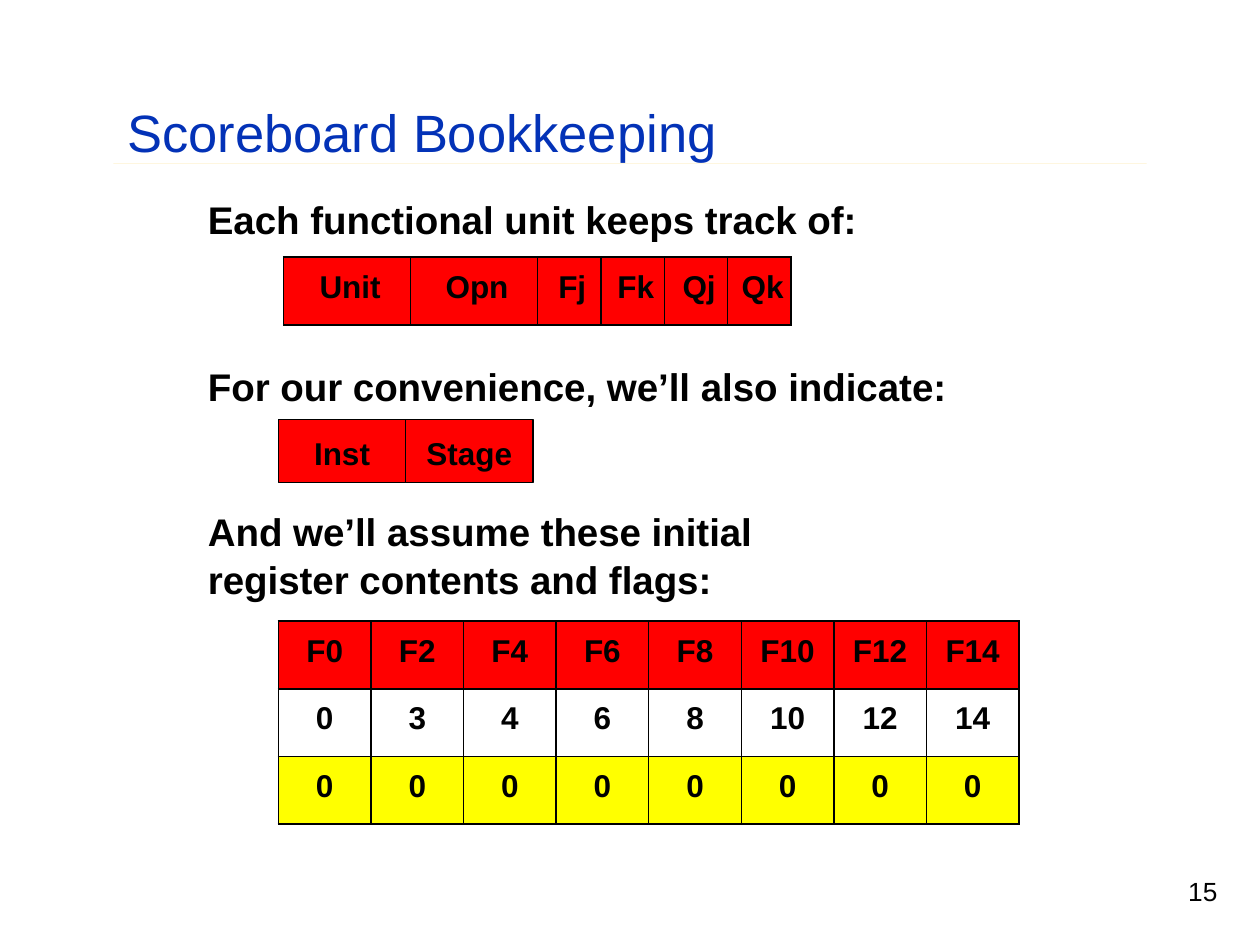
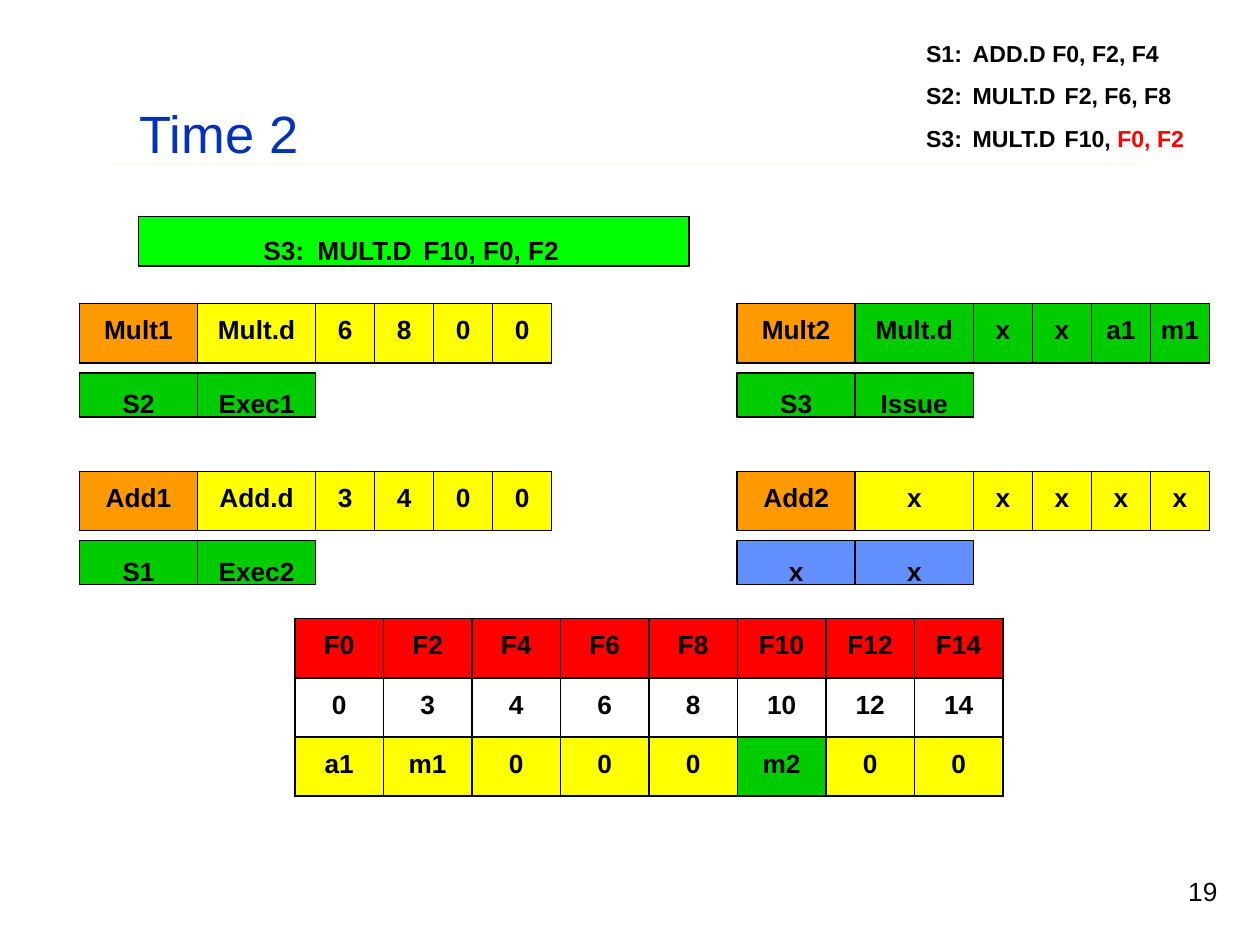
from dataclasses import dataclass

from lxml import etree
from pptx import Presentation
from pptx.dml.color import RGBColor
from pptx.enum.shapes import MSO_SHAPE
from pptx.enum.text import MSO_ANCHOR, MSO_AUTO_SIZE, PP_ALIGN
from pptx.oxml.ns import qn
from pptx.util import Inches, Pt

RECTANGLE = MSO_SHAPE.RECTANGLE
TOP = MSO_ANCHOR.TOP
NO_AUTOSIZE = MSO_AUTO_SIZE.NONE
LEFT, CENTER = PP_ALIGN.LEFT, PP_ALIGN.CENTER

SLIDE_WIDTH, SLIDE_HEIGHT = Inches(10), Inches(7.5)
COLUMN = SLIDE_WIDTH // 100  # grid of 100 columns by 75 rows
ROW = SLIDE_HEIGHT // 75
TITLE_ONLY = 5
UNIT_COLUMNS = (2, 2, 1, 1, 1, 1)
REGISTERS = ["F0", "F2", "F4", "F6", "F8", "F10", "F12", "F14"]
VALUES = ["0", "3", "4", "6", "8", "10", "12", "14"]


@dataclass(frozen=True)
class Theme:
    font: str = "Arial"
    title: str = "0332B7"
    ink: str = "000000"
    rule: str = "FBBA03"
    red: str = "FF0000"
    yellow: str = "FFFF00"
    orange: str = "FF9900"
    green: str = "00CC00"
    lime: str = "00FF00"
    blue: str = "618FFD"
    title_size: float = 30
    body_size: float = 22
    large_cell: float = 18
    small_cell: float = 15
    code_size: float = 13.2


THEME = Theme()


@dataclass(frozen=True)
class Box:
    """A region in grid columns and rows."""
    left: float
    top: float
    width: float
    height: float

    def inner(self, left, top, width, height):
        return Box(self.left + left, self.top + top, width, height)

    def emu(self):
        return (int(self.left * COLUMN), int(self.top * ROW),
                int(self.width * COLUMN), int(self.height * ROW))


# Text and fills
def write(paragraph, runs, size, bold=True, color=THEME.ink, align=LEFT, tabs=()):
    """Fill a paragraph from a string or from (text, colour) pairs."""
    if tabs:
        tab_list = etree.SubElement(paragraph._p.get_or_add_pPr(), qn("a:tabLst"))
        for position in tabs:
            etree.SubElement(tab_list, qn("a:tab"), pos=str(int(position * COLUMN)), algn="l")
    paragraph.alignment = align
    font = paragraph.font
    font.name, font.size, font.bold = THEME.font, Pt(size), bold
    font.color.rgb = RGBColor.from_string(color)
    for text, run_color in [(runs, None)] if isinstance(runs, str) else runs:
        run = paragraph.add_run()
        run.text = text
        if run_color:
            run.font.color.rgb = RGBColor.from_string(run_color)


def prepare_frame(frame, left=0, top=0):
    frame.word_wrap = True
    frame.auto_size = NO_AUTOSIZE
    frame.vertical_anchor = TOP
    frame.margin_left, frame.margin_top = int(left * COLUMN), int(top * ROW)
    frame.margin_right = frame.margin_bottom = 0
    return frame


def add_text(slide, box, runs, size, bold=True, inset=0, line_spacing=1.0):
    frame = prepare_frame(slide.shapes.add_textbox(*box.emu()).text_frame, inset)
    paragraph = frame.paragraphs[0]
    write(paragraph, runs, size, bold)
    paragraph.line_spacing = line_spacing


def paint(fill, color):
    if color is None:
        fill.background()
    else:
        fill.solid()
        fill.fore_color.rgb = RGBColor.from_string(color)


# Slide frame: title, double rule and number
def add_rule(slide, box):
    left, right = box.left, box.left + box.width
    builder = None
    for top, bottom in ((0, 0.2), (0.4, 1)):
        upper, lower = (box.top + share * box.height for share in (top, bottom))
        if builder is None:
            builder = slide.shapes.build_freeform(left, upper, scale=COLUMN)
        else:
            builder.move_to(left, upper)
        builder.add_line_segments([(right, upper), (right, lower), (left, lower)])
    rule = builder.convert_to_shape()
    rule.shadow.inherit = False
    paint(rule.fill, THEME.rule)
    rule.line.fill.background()


def start_slide(presentation, title, title_box, number):
    slide = presentation.slides.add_slide(presentation.slide_layouts[TITLE_ONLY])
    add_rule(slide, Box(8.9, 12.7, 82.5, 0.5))
    shape = slide.shapes.title
    shape.left, shape.top, shape.width, shape.height = title_box.emu()
    frame = prepare_frame(shape.text_frame, 0.1)
    write(frame.paragraphs[0], title, THEME.title_size, False, THEME.title)
    add_text(slide, Box(92.8, 69.5, 4.2, 4.8), number, THEME.small_cell, False, 1.5)
    return slide


# Tables and cells
def outline_cell(cell):
    properties = cell._tc.get_or_add_tcPr()
    for position, side in enumerate(("lnL", "lnR", "lnT", "lnB")):
        line = etree.Element(qn(f"a:{side}"), w=str(Pt(1)))
        solid = etree.SubElement(line, qn("a:solidFill"))
        etree.SubElement(solid, qn("a:srgbClr"), val=THEME.ink)
        properties.insert(position, line)


def add_grid(slide, box, rows, fills, size, shares=None, inset=0):
    """Add a table; fills has one colour, or None, for each cell."""
    shares = shares or [1] * len(rows[0])
    frame = slide.shapes.add_table(len(rows), len(shares), *box.emu())
    table = frame.table
    table.first_row = table.horz_banding = False
    for column, share in zip(table.columns, shares):
        column.width = int(box.width * COLUMN * share / sum(shares))
    for row_index, (row, row_fills) in enumerate(zip(rows, fills)):
        table.rows[row_index].height = int(box.height * ROW / len(rows))
        for column_index, (text, color) in enumerate(zip(row, row_fills)):
            cell = table.cell(row_index, column_index)
            cell.margin_left, cell.margin_top = int(inset * COLUMN), ROW
            cell.margin_right = cell.margin_bottom = 0
            paint(cell.fill, color)
            outline_cell(cell)
            write(cell.text_frame.paragraphs[0], text, size, align=CENTER)


def add_register_table(slide, box, flags, size, pending=()):
    """Register names, values and flags; pending names registers in green."""
    count = len(REGISTERS)
    flag_fills = [THEME.green if name in pending else THEME.yellow for name in REGISTERS]
    add_grid(slide, box, [REGISTERS, VALUES, flags],
             [[THEME.red] * count, [None] * count, flag_fills], size)


def add_block(slide, box, color, top_inset, left_inset=0):
    shape = slide.shapes.add_shape(RECTANGLE, *box.emu())
    shape.shadow.inherit = False
    paint(shape.fill, color)
    shape.line.color.rgb = RGBColor.from_string(THEME.ink)
    shape.line.width = Pt(0.8)
    return prepare_frame(shape.text_frame, left_inset, top_inset).paragraphs[0]


def add_stage(slide, box, labels, color, size):
    """Instruction and stage, side by side across the box."""
    width = box.width / len(labels)
    for index, label in enumerate(labels):
        paragraph = add_block(slide, box.inner(index * width, 0, width, box.height), color, 1.15)
        write(paragraph, label, size, align=CENTER)


def add_unit(slide, box, fields, fill, stage, stage_fill):
    """Functional unit: its record, with instruction and stage below."""
    add_grid(slide, box.inner(0, 0, box.width, 4.7), [fields],
             [[THEME.orange] + [fill] * (len(fields) - 1)], THEME.small_cell, UNIT_COLUMNS)
    add_stage(slide, box.inner(0, 5.5, box.width / 2, 3.5), stage, stage_fill, THEME.small_cell)


# Instruction listing
def add_program(slide, box, lines):
    frame = prepare_frame(slide.shapes.add_textbox(*box.emu()).text_frame, 0.1)
    for index, line in enumerate(lines):
        paragraph = frame.add_paragraph() if index else frame.paragraphs[0]
        write(paragraph, line, THEME.code_size, tabs=(3.7, 11))
        if index:
            paragraph.space_before = Pt(8.5)


# Slides
def build_bookkeeping(presentation):
    slide = start_slide(presentation, "Scoreboard Bookkeeping", Box(10, 7.9, 56.7, 4.8), "15")
    statements = [
        (Box(16.4, 15.4, 62.8, 3.8), "Each functional unit keeps track of:"),
        (Box(16.4, 28.7, 62.8, 3.8), "For our convenience, we’ll also indicate:"),
        (Box(16.4, 40.2, 47.1, 7.5),
         "And we’ll assume these initial register contents and flags:"),
    ]
    for box, text in statements:
        add_text(slide, box, text, THEME.body_size, inset=0.1, line_spacing=1.04)
    add_grid(slide, Box(22.5, 20.4, 40.3, 5.4), [["Unit", "Opn", "Fj", "Fk", "Qj", "Qk"]],
             [[THEME.red] * len(UNIT_COLUMNS)], THEME.large_cell, UNIT_COLUMNS, inset=0.5)
    add_stage(slide, Box(22.1, 33.3, 20.2, 5), ["Inst", "Stage"], THEME.red, THEME.large_cell)
    add_register_table(slide, Box(22.1, 49.3, 58.8, 16.1), ["0"] * len(REGISTERS),
                       THEME.large_cell)


def build_time_step(presentation):
    slide = start_slide(presentation, "Time 2", Box(11, 8, 12.9, 4.7), "19")
    issuing = add_block(slide, Box(11, 17.2, 43.7, 3.9), THEME.lime, 1.4, 9.9)
    write(issuing, "S3:\tMULT.D\tF10, F0, F2", THEME.small_cell, tabs=(4.3, 12.7))

    left, right = 6.3, 58.5
    upper, lower = 24.1, 37.4
    units = [
        (left, upper, ["Mult1", "Mult.d", "6", "8", "0", "0"], THEME.yellow,
         ["S2", "Exec1"], THEME.green),
        (right, upper, ["Mult2", "Mult.d", "x", "x", "a1", "m1"], THEME.green,
         ["S3", "Issue"], THEME.green),
        (left, lower, ["Add1", "Add.d", "3", "4", "0", "0"], THEME.yellow,
         ["S1", "Exec2"], THEME.green),
        (right, lower, ["Add2", "x", "x", "x", "x", "x"], THEME.yellow,
         ["x", "x"], THEME.blue),
    ]
    for column, row, *unit in units:
        add_unit(slide, Box(column, row, 37.5, 9), *unit)

    add_register_table(slide, Box(23.4, 49.1, 56.2, 14.1),
                       ["a1", "m1", "0", "0", "0", "m2", "0", "0"], THEME.small_cell, ["F10"])
    add_program(slide, Box(73.4, 3.1, 22, 9), [
        "S1:\tADD.D F0, F2, F4",
        "S2:\tMULT.D\tF2, F6, F8",
        [("S3:\tMULT.D\tF10, ", None), ("F0, F2", THEME.red)],
    ])


def main():
    presentation = Presentation()
    presentation.slide_width, presentation.slide_height = SLIDE_WIDTH, SLIDE_HEIGHT
    build_bookkeeping(presentation)
    build_time_step(presentation)
    presentation.save("out.pptx")


if __name__ == "__main__":
    main()
